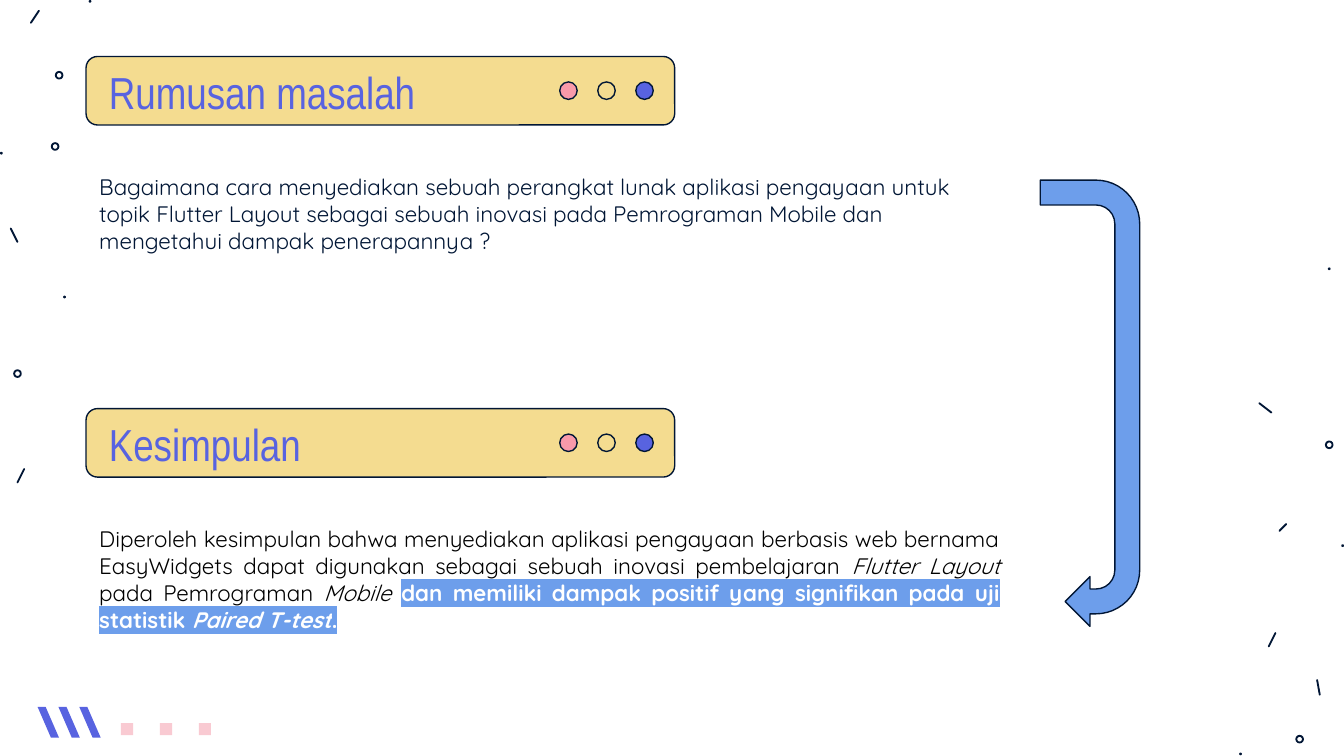
from lxml import etree
from pptx import Presentation
from pptx.dml.color import RGBColor
from pptx.enum.shapes import MSO_CONNECTOR, MSO_SHAPE
from pptx.enum.text import MSO_ANCHOR as ANCHOR, MSO_AUTO_SIZE as AUTOSIZE, PP_ALIGN as ALIGN
from pptx.oxml.ns import qn
from pptx.util import Inches, Pt

NAVY, INDIGO, SAND = "011635", "5863E0", "F4DC90"
PINK, PALE_PINK, BLUE = "F99AAA", "F9CAD2", "6D9EEB"
BLACK, WHITE = "000000", "FFFFFF"


def color(value):
    return RGBColor.from_string(value)


class SlideBuilder:
    title_font, body_font = "Arial Narrow", "Quicksand"

    def __init__(self, slide):
        self.slide = slide
        self.shapes = slide.shapes

    def paint(self, sp, fill=None, line=None, width=0.75):
        sp.shadow.inherit = False
        if fill:
            sp.fill.solid()
            sp.fill.fore_color.rgb = color(fill)
        else:
            sp.fill.background()
        if line:
            sp.line.color.rgb = color(line)
            sp.line.width = Pt(width)
        else:
            sp.line.fill.background()
        return sp

    def shape(self, kind, x, y, w, h, fill=None, line=None, width=0.75):
        sp = self.shapes.add_shape(kind, Inches(x), Inches(y), Inches(w), Inches(h))
        return self.paint(sp, fill, line, width)

    def circle(self, cx, cy, d, fill=None, line=None, width=0.75):
        return self.shape(MSO_SHAPE.OVAL, cx - d / 2, cy - d / 2, d, d, fill, line, width)

    def tick(self, x1, y1, x2, y2):
        c = self.shapes.add_connector(
            MSO_CONNECTOR.STRAIGHT, Inches(x1), Inches(y1), Inches(x2), Inches(y2))
        c.line.color.rgb = color(NAVY)
        c.line.width = Pt(1)
        c.line._get_or_add_ln().set("cap", "rnd")
        etree.SubElement(c._element.spPr, qn("a:effectLst"))

    def polygon(self, points, fill):
        start, *rest = [(Inches(x), Inches(y)) for x, y in points]
        builder = self.shapes.build_freeform(*start)
        builder.add_line_segments(rest)
        self.paint(builder.convert_to_shape(), fill)

    def heading(self, y, text, sp=None):
        """Sand bar with three buttons; the text goes in sp or a new text box."""
        bar = self.shape(MSO_SHAPE.ROUNDED_RECTANGLE, 0.64, y, 4.38, 0.51, SAND, NAVY)
        bar.adjustments[0] = 0.167
        if sp is None:
            sp = self.shapes.add_textbox(0, 0, 0, 0)
        self.shapes._spTree.append(sp._element)  # in front of the bar
        sp.left, sp.top, sp.width, sp.height = map(Inches, (0.81, y + 0.04, 4.69, 0.44))
        tf = sp.text_frame
        tf.margin_left = tf.margin_right = tf.margin_top = tf.margin_bottom = 0
        tf.word_wrap, tf.auto_size = True, AUTOSIZE.NONE
        tf.vertical_anchor = ANCHOR.MIDDLE
        p = tf.paragraphs[0]
        p.text, p.alignment = text, ALIGN.LEFT
        p.font.name, p.font.size = self.title_font, Pt(24)
        p.font.color.rgb = color(INDIGO)
        for i, fill in enumerate((PINK, SAND, INDIGO)):
            self.circle(4.23 + 0.283 * i, y + 0.255, 0.13, fill, NAVY)

    def body(self, y, h, runs, align=ALIGN.LEFT):
        """Each run is (text, colour, italic, highlight); highlighted runs are bold."""
        sp = self.shapes.add_textbox(Inches(0.64), Inches(y), Inches(6.9), Inches(h))
        tf = sp.text_frame
        tf.margin_left = tf.margin_right = tf.margin_top = tf.margin_bottom = Inches(0.1)
        tf.word_wrap, tf.auto_size = True, AUTOSIZE.SHAPE_TO_FIT_TEXT
        p = tf.paragraphs[0]
        p.alignment = align
        p.font.name, p.font.size = self.body_font, Pt(12)
        for text, ink, italic, highlight in runs:
            r = p.add_run()
            r.text = text
            r.font.color.rgb = color(ink)
            if italic:
                r.font.italic = True
            if highlight:
                r.font.bold = True
                mark = etree.SubElement(r.font._element, qn("a:highlight"))
                etree.SubElement(mark, qn("a:srgbClr"), val=highlight)


def main():
    prs = Presentation()
    prs.slide_width, prs.slide_height = Inches(10), Inches(10 * 9 / 16)
    s = prs.slides.add_slide(prs.slide_layouts[5])
    b = SlideBuilder(s)

    # Scattered ticks, rings and dots along both edges
    for ends in ((0.29, 0.08, 0.23, 0.17), (0.08, 1.7, 0.13, 1.8), (0.18, 3.49, 0.13, 3.59),
                 (9.37, 3, 9.46, 3.07), (9.8, 5.06, 9.82, 5.17), (9.49, 4.71, 9.44, 4.81),
                 (9.57, 3.9, 9.52, 3.95)):
        b.tick(*ends)
    for cx, cy in ((0.44, 0.56), (0.13, 2.78), (0.41, 1.09), (9.89, 3.31), (9.67, 5.5)):
        b.circle(cx, cy, 0.05, line=NAVY, width=1)
    for cx, cy in ((0.48, 2.21), (0.67, 0.01), (0.01, 1.14),
                   (9.99, 4.06), (9.23, 5.61), (9.89, 2)):
        b.circle(cx, cy, 0.02, fill=NAVY)

    # Slanted bars and squares at the bottom left
    for i in range(3):
        x = 0.28 + 0.155 * i
        b.polygon([(x, 5.26), (x + 0.06, 5.26), (x + 0.16, 5.49), (x + 0.1, 5.49)], INDIGO)
        b.shape(MSO_SHAPE.RECTANGLE, 0.9 + 0.29 * i, 5.38, 0.09, 0.09, PALE_PINK)

    # Problem statement
    b.heading(0.42, "Rumusan masalah", s.shapes.title)
    b.body(1.19, 0.81, [
        ("Bagaimana cara menyediakan sebuah perangkat lunak aplikasi pengayaan untuk topik "
         "Flutter Layout sebagai sebuah inovasi pada Pemrograman Mobile dan mengetahui "
         "dampak penerapannya ?", NAVY, False, None)])

    # Conclusion
    b.heading(3.04, "Kesimpulan")
    b.body(3.81, 1.01, [
        ("Diperoleh kesimpulan bahwa menyediakan aplikasi pengayaan berbasis web bernama "
         "EasyWidgets dapat digunakan sebagai sebuah inovasi pembelajaran ", BLACK, False, None),
        ("Flutter Layout", BLACK, True, None),
        (" pada Pemrograman ", BLACK, False, None),
        ("Mobile ", BLACK, True, None),
        ("dan memiliki dampak positif yang signifikan pada uji statistik ", WHITE, False, BLUE),
        ("Paired T-test", WHITE, True, BLUE),
        (".", WHITE, False, BLUE)], ALIGN.JUSTIFY)

    # Arrow from problem to conclusion
    arrow = b.shape(MSO_SHAPE.U_TURN_ARROW, 6.45, 2.63, 3.32, 0.74, BLUE, NAVY)
    arrow.rotation = 90
    for i, value in enumerate((0.25, 0.25, 0.25, 0.44, 0.75)):
        arrow.adjustments[i] = value

    prs.save("out.pptx")


if __name__ == "__main__":
    main()
